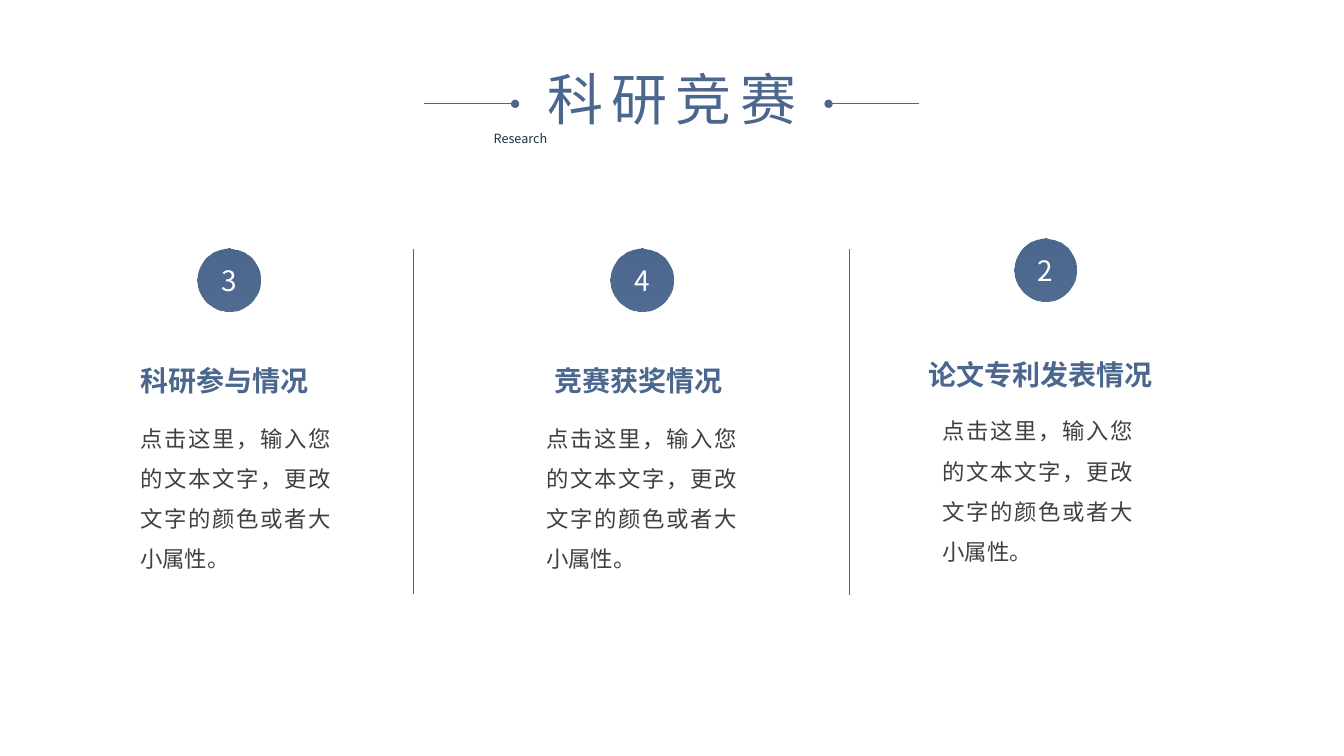
from dataclasses import dataclass

from lxml.etree import SubElement
from pptx import Presentation
from pptx.dml.color import RGBColor
from pptx.enum.shapes import MSO_CONNECTOR, MSO_SHAPE
from pptx.enum.text import MSO_ANCHOR, PP_ALIGN
from pptx.oxml.ns import qn
from pptx.shapes.base import BaseShape
from pptx.slide import Slide
from pptx.text.text import TextFrame
from pptx.util import Inches, Pt

# Grid: cells of a tenth of an inch
COLS, ROWS = 133.33, 75


@dataclass(frozen=True)
class Theme:
    font: str = "Noto Sans CJK SC"
    blue: str = "4C678E"
    ink: str = "1D323E"
    gray: str = "404040"
    white: str = "FFFFFF"
    title: int = 40
    head: int = 20
    body: int = 16
    note: int = 9


@dataclass(frozen=True)
class Box:
    col: float
    row: float
    wide: float
    high: float


@dataclass(frozen=True)
class Topic:
    num: str
    head: str
    disc: tuple[float, float]
    name: Box
    body: tuple[float, float]


@dataclass(frozen=True)
class Rule:
    start: tuple[float, float]
    end: tuple[float, float]
    width: float
    dot: bool = False


THEME = Theme()
DISC = 6.2
BODY = (18.9, 16.2)
BLURB = "点击这里，输入您的文本文字，更改文字的颜色或者大小属性。"

TOPICS = [
    Topic("3", "科研参与情况", (19.6, 24.7), Box(13.9, 34.4, 18.9, 4.5), (13.9, 40.8)),
    Topic("4", "竞赛获奖情况", (60.6, 24.7), Box(55, 34.4, 17.4, 4.5), (54.2, 40.8)),
    Topic("2", "论文专利发表情况", (100.6, 23.7), Box(92.1, 33.8, 24, 4.5), (93.5, 40.1)),
]

RULES = [
    Rule((42.1, 10.3), (51.1, 10.3), 0.5, dot=True),
    Rule((91.2, 10.3), (82.2, 10.3), 0.5, dot=True),
    Rule((41, 24.7), (41, 58.9), 1),
    Rule((84.3, 24.7), (84.3, 59), 1),
]


def cell(*counts: float) -> list[int]:
    return [Inches(n / 10) for n in counts]


def place(box: Box) -> list[int]:
    return cell(box.col, box.row, box.wide, box.high)


def write(frame: TextFrame, text: str, *, size: int, color: str,
          align: PP_ALIGN = PP_ALIGN.JUSTIFY, bold: bool = False,
          gap: float = 0, lead: float = 1) -> None:
    frame.word_wrap = True
    para = frame.paragraphs[0]
    para.alignment = align
    para.line_spacing = lead
    run = para.add_run()
    run.text = text
    font = run.font
    font.name, font.size, font.bold = THEME.font, Pt(size), bold
    font.color.rgb = RGBColor.from_string(color)
    props = run._r.get_or_add_rPr()
    SubElement(props, qn("a:ea")).set("typeface", THEME.font)
    if gap:
        props.set("spc", str(int(gap * 100)))


def label(slide: Slide, box: Box, text: str, *, flush: bool = False, **style) -> None:
    frame = slide.shapes.add_textbox(*place(box)).text_frame
    if flush:
        frame.margin_left = frame.margin_right = 0
        frame.margin_top = frame.margin_bottom = 0
    write(frame, text, **style)


def shade(shape: BaseShape) -> None:
    fill = shape.fill
    fill.gradient()
    fill.gradient_angle = 270
    for stop, spot in zip(fill.gradient_stops, (0, 1)):
        stop.color.rgb = RGBColor.from_string(THEME.blue)
        stop.position = spot
    last = shape.element.spPr.findall(".//" + qn("a:srgbClr"))[-1]
    SubElement(last, qn("a:alpha")).set("val", "97000")


def badge(slide: Slide, topic: Topic) -> None:
    box = Box(*topic.disc, DISC, DISC)
    disc = slide.shapes.add_shape(MSO_SHAPE.OVAL, *place(box))
    disc.shadow.inherit = False
    shade(disc)
    disc.line.fill.background()
    disc.text_frame.vertical_anchor = MSO_ANCHOR.MIDDLE
    write(disc.text_frame, topic.num, size=THEME.head, color=THEME.white,
          align=PP_ALIGN.CENTER)


def panel(slide: Slide, topic: Topic) -> None:
    badge(slide, topic)
    label(slide, topic.name, topic.head, flush=True, size=THEME.head,
          color=THEME.blue, bold=True, lead=1.5)
    label(slide, Box(*topic.body, *BODY), BLURB, flush=True, size=THEME.body,
          color=THEME.gray, lead=1.5)


def draw(slide: Slide, rule: Rule) -> None:
    line = slide.shapes.add_connector(
        MSO_CONNECTOR.STRAIGHT, *cell(*rule.start, *rule.end))
    line.line.color.rgb = RGBColor.from_string(THEME.blue)
    line.line.width = Pt(rule.width)
    if rule.dot:
        SubElement(line.line._get_or_add_ln(), qn("a:tailEnd")).set("type", "oval")
    SubElement(line.element.spPr, qn("a:effectLst"))


def main() -> None:
    deck = Presentation()
    deck.slide_width, deck.slide_height = cell(COLS, ROWS)
    slide = deck.slides.add_slide(deck.slide_layouts[6])

    # Title block
    label(slide, Box(48, 12.5, 37.4, 2.5), "Research", size=THEME.note, color=THEME.ink)
    label(slide, Box(51.6, 5.9, 30.1, 7.7), "科研竞赛", size=THEME.title,
          color=THEME.blue, align=PP_ALIGN.CENTER, gap=6)

    # Three topics
    for topic in TOPICS:
        panel(slide, topic)

    # Title lines and dividers
    for rule in RULES:
        draw(slide, rule)

    deck.save("out.pptx")


if __name__ == "__main__":
    main()
